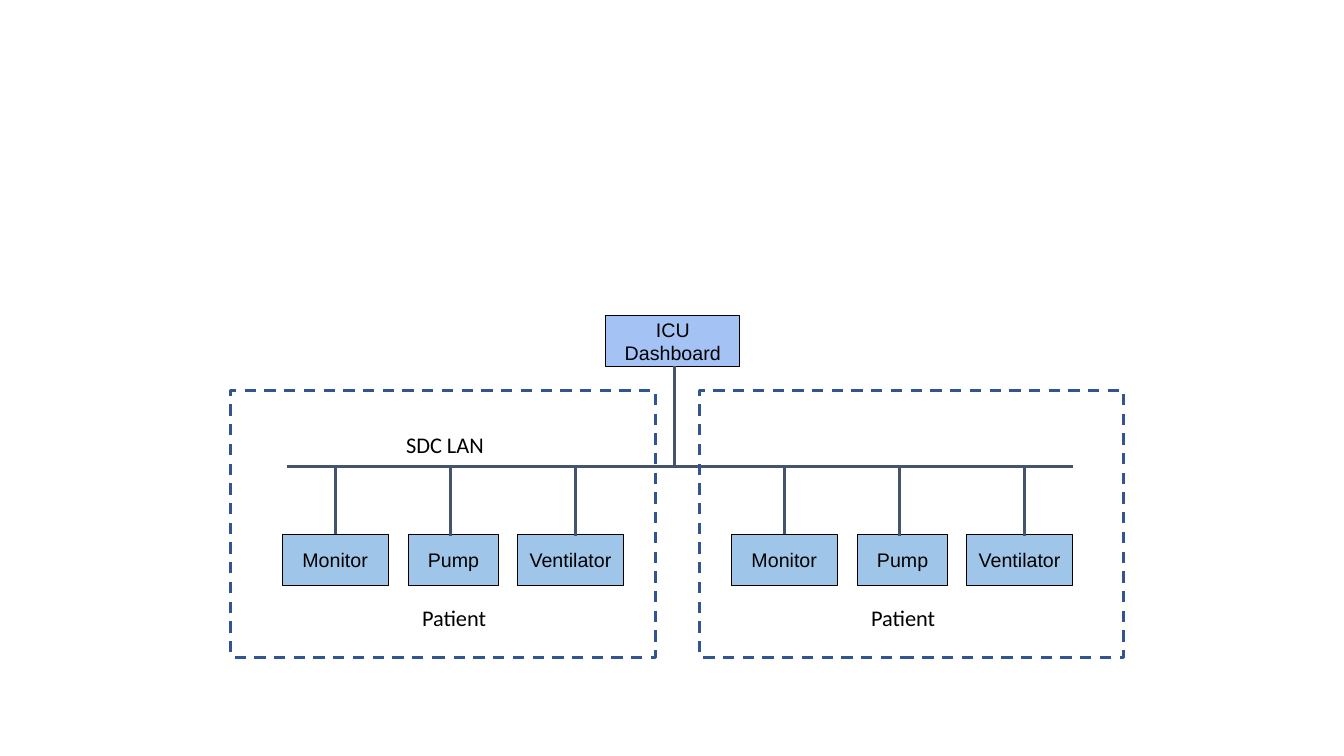
from lxml.etree import SubElement
from pptx import Presentation
from pptx.dml.color import RGBColor
from pptx.enum.dml import MSO_LINE
from pptx.enum.shapes import MSO_CONNECTOR, MSO_SHAPE
from pptx.enum.text import MSO_ANCHOR, PP_ALIGN
from pptx.oxml.ns import qn
from pptx.util import Inches, Pt

BLACK, WIRE, FRAME = "000000", "44546A", "325491"
HUB, DEVICE = "A4C2F4", "9FC5E8"
BUS = 46.3           # row of the network line
STEP = 44.55         # columns from one patient's devices to the next
BAY = 46.5           # columns from one patient's frame to the next
# name, left column, width, column of its cable, top and foot of the cable
DEVICES = [
    ("Monitor", 28, 10.5, 33.3, 46.1, 53),
    ("Pump", 40.5, 9, 44.7, 46.2, 53.2),
    ("Ventilator", 51.35, 10.5, 57.1, 46.2, 53.2),
]


def cell(count):
    """Turn columns or rows of the grid, ten to the inch, into a length."""
    return Inches(count / 10)


def color(code):
    """Turn a hex string into a colour."""
    return RGBColor.from_string(code)


def stroke(line, code, width):
    """Set the colour and width of a line."""
    line.color.rgb = color(code)
    line.width = Pt(width)


def write(frame, text, font, size, align, pad):
    """Put one formatted run in a text frame, with top and foot padding."""
    frame.word_wrap = True
    frame.margin_left = frame.margin_right = cell(1)
    frame.margin_top = frame.margin_bottom = cell(pad)
    para = frame.paragraphs[0]
    para.alignment = align
    run = para.add_run()
    run.text = text
    run.font.name = font
    run.font.size = Pt(size)
    run.font.color.rgb = color(BLACK)


def rect(slide, left, top, width, height):
    """Add a rectangle without shadow."""
    shape = slide.shapes.add_shape(
        MSO_SHAPE.RECTANGLE, *map(cell, (left, top, width, height)))
    shape.shadow.inherit = False
    return shape


def node(slide, text, left, top, width, fill):
    """Add a filled box with a centred name."""
    shape = rect(slide, left, top, width, 5.1)
    shape.fill.solid()
    shape.fill.fore_color.rgb = color(fill)
    stroke(shape.line, BLACK, 0.75)
    shape.text_frame.vertical_anchor = MSO_ANCHOR.MIDDLE
    write(shape.text_frame, text, "Arial", 14, PP_ALIGN.CENTER, 1)


def frame(slide, left):
    """Add the dashed frame around one patient."""
    shape = rect(slide, left, 38.7, 42.1, 26.5)
    shape.fill.background()
    stroke(shape.line, FRAME, 2)
    shape.line.dash_style = MSO_LINE.DASH


def label(slide, text, left, top, width, align):
    """Add a plain text label."""
    box = slide.shapes.add_textbox(*map(cell, (left, top, width, 3.7)))
    write(box.text_frame, text, "Calibri", 16, align, 0.5)


def wire(slide, *ends):
    """Add a cable from x, y to x, y."""
    line = slide.shapes.add_connector(
        MSO_CONNECTOR.STRAIGHT, *map(cell, ends))
    stroke(line.line, WIRE, 2.25)
    SubElement(line._element.spPr, qn("a:effectLst"))


def bay(slide, index):
    """Add one patient's devices, cables, label and frame."""
    shift = index * STEP
    for name, left, width, mid, top, foot in DEVICES:
        node(slide, name, left + shift, 53, width, DEVICE)
        wire(slide, mid + shift, foot, mid + shift, top)
    label(slide, "Patient", 36.4 + shift, 59.4, 17.3, PP_ALIGN.CENTER)
    frame(slide, 22.9 + index * BAY)


def main():
    """Build the slide and save it."""
    deck = Presentation()
    deck.slide_width, deck.slide_height = cell(133.33), cell(75)
    slide = deck.slides.add_slide(deck.slide_layouts[6])
    node(slide, "ICU Dashboard", 60.1, 31.3, 13.3, HUB)
    wire(slide, 28.5, BUS, 106.4, BUS)
    wire(slide, 66.9, 46.4, 66.9, 36.3)
    label(slide, "SDC LAN", 39.3, 42.3, 22.9, PP_ALIGN.LEFT)
    for index in range(2):
        bay(slide, index)
    deck.save("out.pptx")


main()
